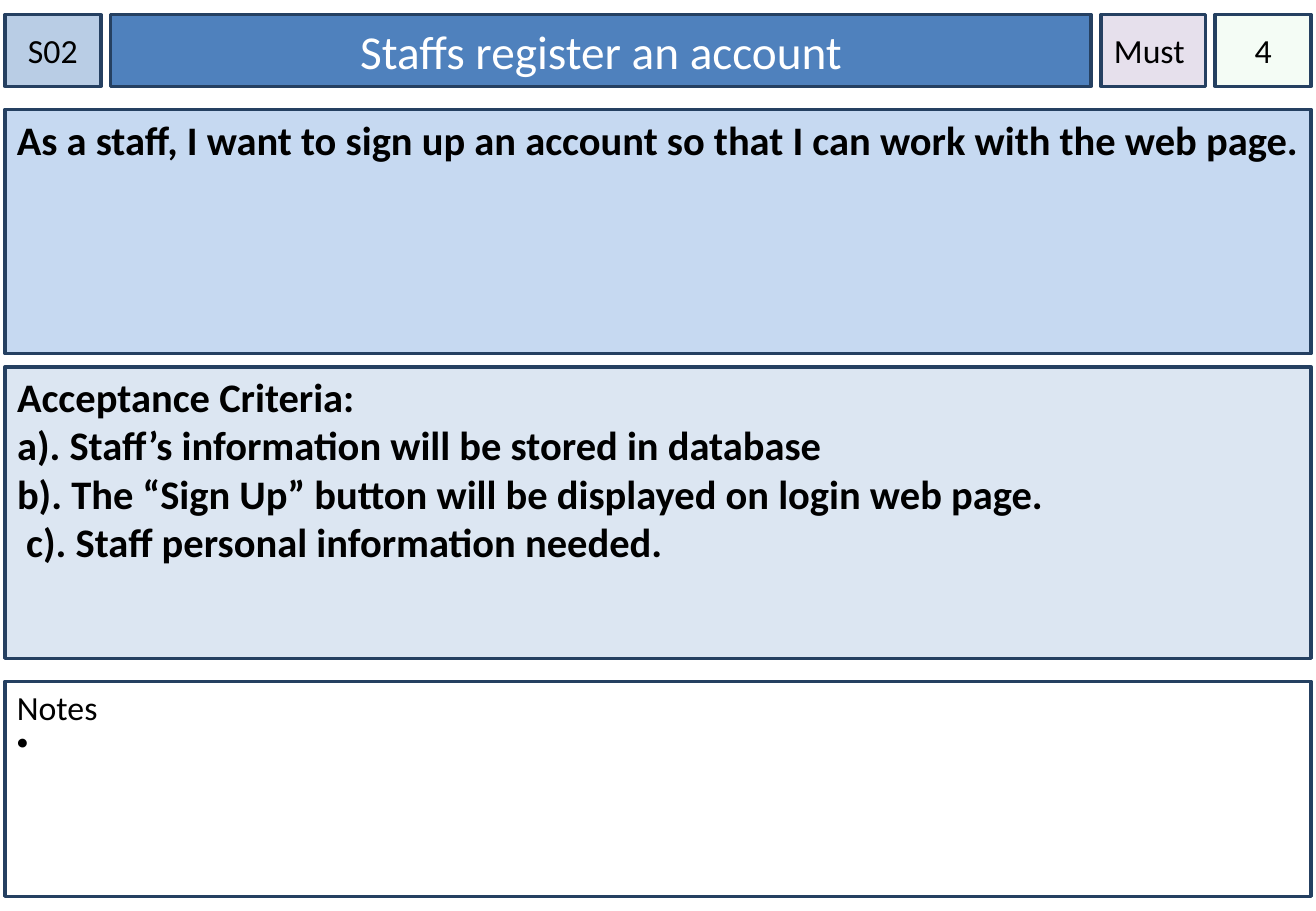
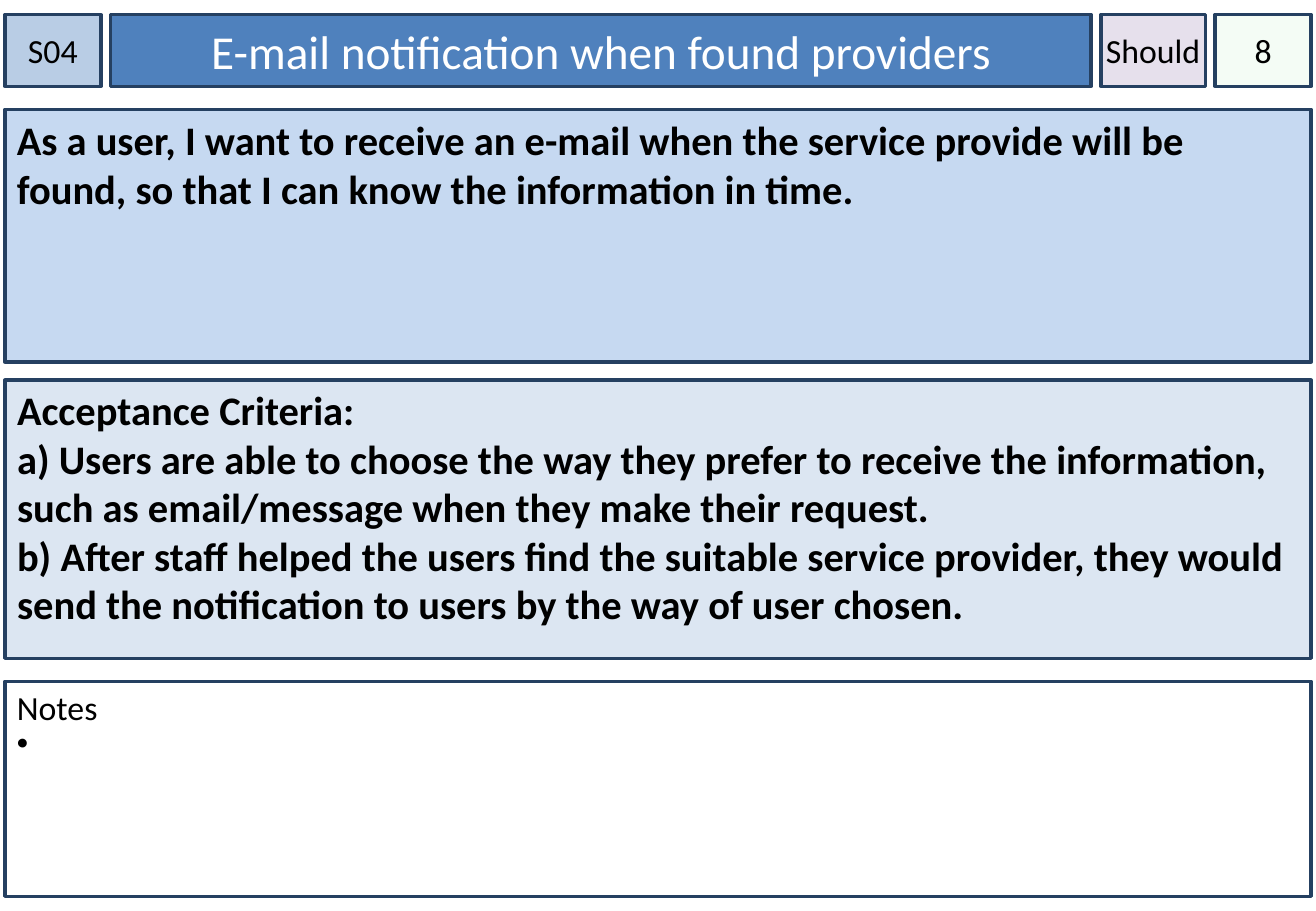
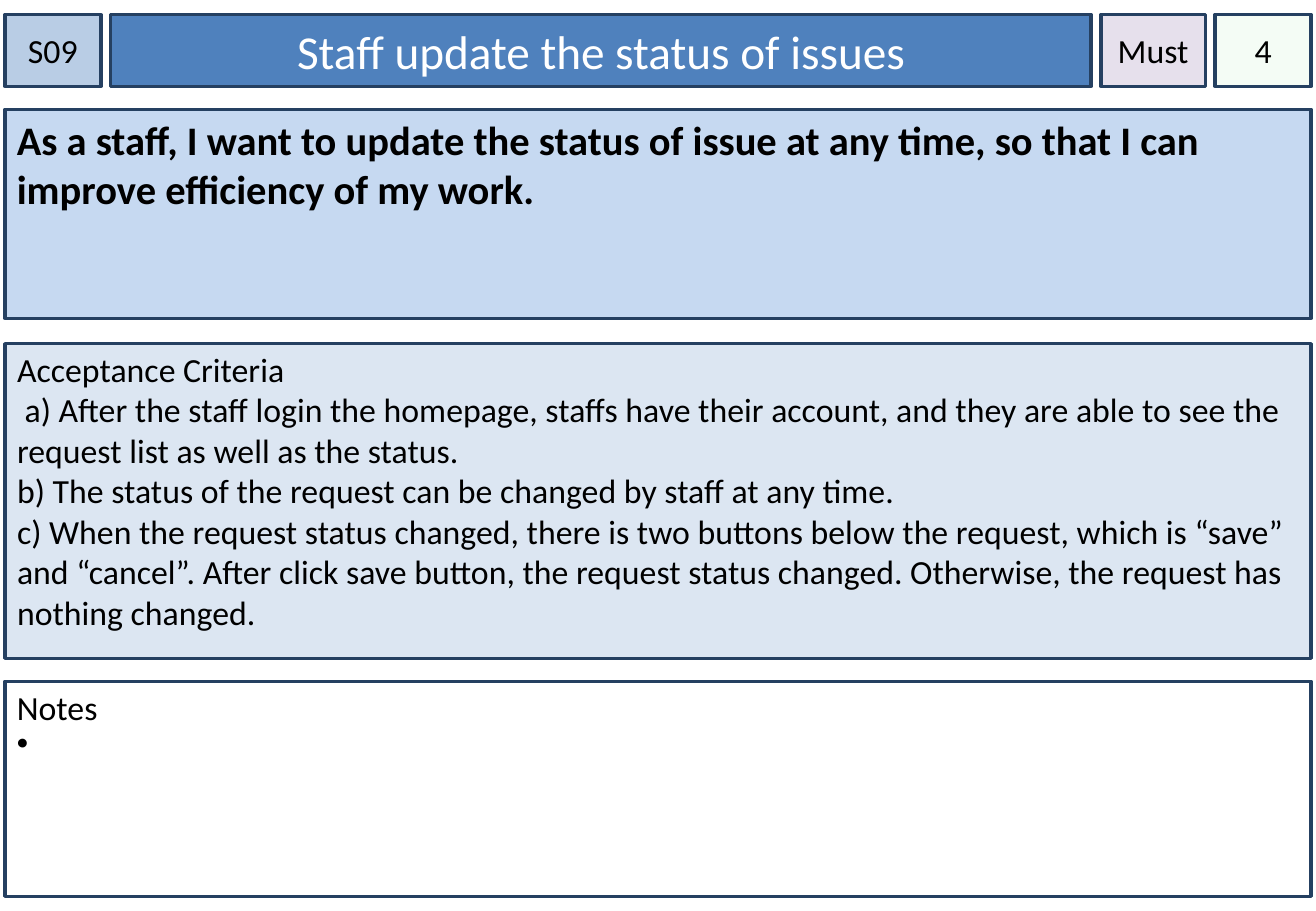
import dataclasses

import lxml.etree
import pptx
import pptx.dml.color
import pptx.enum.shapes
import pptx.enum.text
import pptx.oxml.ns
import pptx.util

Inches = pptx.util.Inches
ALIGN = pptx.enum.text.PP_ALIGN
ANCHOR = pptx.enum.text.MSO_ANCHOR


# Shared colours, type sizes and measures (inches)
@dataclasses.dataclass(frozen=True)
class Theme:
    font: str = "Calibri"
    text: str = "000000"
    title_text: str = "FFFFFF"
    outline: str = "254061"
    code_fill: str = "B9CDE5"
    title_fill: str = "4F81BD"
    priority_fill: str = "E6E0EC"
    points_fill: str = "CCF0CD"
    story_fill: str = "C6D9F1"
    criteria_fill: str = "DCE6F2"
    remarks_fill: str = "FFFFFF"
    title_size: int = 28
    story_size: int = 24
    label_size: int = 20
    outline_width: int = 2
    left: float = 0.04
    width: float = 10.75
    header_top: float = 0.12
    header_height: float = 0.59
    header_gap: float = 0.08
    header_widths: tuple = (0.79, 8.07, 0.86, 0.79)
    story_top: float = 0.9
    criteria_bottom: float = 5.42
    remarks_top: float = 5.61
    remarks_height: float = 1.77


THEME = Theme()
LABEL_INSETS = (0, 0.05, 0, 0.05)
PANEL_INSETS = (0.1, 0.04, 0.1, 0.05)


@dataclasses.dataclass(frozen=True)
class StoryCard:
    code: str
    title: str
    priority: str
    points: str
    story: str
    story_height: float
    criteria_top: float
    criteria: tuple
    criteria_size: int = THEME.story_size
    criteria_bold: bool = True


CARDS = (
    StoryCard(
        "S02", "Staffs register an account", "Must ", "4",
        "As a staff, I want to sign up an account so that I can work with the web page.",
        2.01, 3.02,
        ("Acceptance Criteria:",
         "a). Staff’s information will be stored in database",
         "b). The “Sign Up” button will be displayed on login web page.",
         " c). Staff personal information needed."),
    ),
    StoryCard(
        "S04", "E-mail notification when found providers", "Should", "8",
        "As a user, I want to receive an e-mail when the service provide will be found, "
        "so that I can know the information in time.",
        2.08, 3.13,
        ("Acceptance Criteria:",
         "a) Users are able to choose the way they prefer to receive the information, "
         "such as email/message when they make their request.",
         "b) After staff helped the users find the suitable service provider, they would "
         "send the notification to users by the way of user chosen."),
    ),
    StoryCard(
        "S09", "Staff update the status of issues", "Must", "4",
        "As a staff, I want to update the status of issue at any time, so that I can "
        "improve efficiency of my work.",
        1.72, 2.83,
        ("Acceptance Criteria",
         " a) After the staff login the homepage, staffs have their account, and they are "
         "able to see the request list as well as the status.",
         "b) The status of the request can be changed by staff at any time.",
         "c) When the request status changed, there is two buttons below the request, which "
         "is “save” and “cancel”. After click save button, the request status changed. "
         "Otherwise, the request has nothing changed."),
        criteria_size=THEME.label_size, criteria_bold=False,
    ),
)


def color(value):
    return pptx.dml.color.RGBColor.from_string(value)


def set_bullet(paragraph, character=None, indent=0.2):
    """Give the paragraph a hanging bullet, or none at all."""
    properties = paragraph._p.get_or_add_pPr()
    hanging = Inches(indent) if character else 0
    properties.set("marL", str(hanging))
    properties.set("indent", str(-hanging))
    tag = "a:buChar" if character else "a:buNone"
    bullet = lxml.etree.SubElement(properties, pptx.oxml.ns.qn(tag))
    if character:
        bullet.set("char", character)


def write_text(shape, *lines, size=THEME.label_size, text_color=THEME.text, bold=False,
               align=ALIGN.LEFT, anchor=ANCHOR.TOP, insets=(0.1, 0.05, 0.1, 0.05),
               wrap=True, bulleted=()):
    """Write one paragraph per line; bulleted holds the indexes of bullet lines."""
    frame = shape.text_frame
    frame.auto_size = pptx.enum.text.MSO_AUTO_SIZE.NONE
    frame.word_wrap = wrap
    frame.vertical_anchor = anchor
    (frame.margin_left, frame.margin_top,
     frame.margin_right, frame.margin_bottom) = map(Inches, insets)
    for index, line in enumerate(lines):
        paragraph = frame.paragraphs[0] if index == 0 else frame.add_paragraph()
        set_bullet(paragraph, "•" if index in bulleted else None)
        paragraph.alignment = align
        paragraph.space_before = pptx.util.Pt(0)
        run = paragraph.add_run()
        run.text = line
        run.font.name = THEME.font
        run.font.size = pptx.util.Pt(size)
        run.font.bold = bold
        run.font.color.rgb = color(text_color)


def style_box(shape, position, fill, opacity=None):
    shape.left, shape.top, shape.width, shape.height = map(Inches, position)
    shape.shadow.inherit = False
    shape.fill.solid()
    shape.fill.fore_color.rgb = color(fill)
    shape.line.color.rgb = color(THEME.outline)
    shape.line.width = pptx.util.Pt(THEME.outline_width)
    if opacity is not None:
        fill_color = shape._element.spPr.find(
            pptx.oxml.ns.qn("a:solidFill")).find(pptx.oxml.ns.qn("a:srgbClr"))
        alpha = lxml.etree.SubElement(fill_color, pptx.oxml.ns.qn("a:alpha"))
        alpha.set("val", str(opacity * 1000))


def add_box(slide, position, fill, opacity=None):
    shape = slide.shapes.add_shape(
        pptx.enum.shapes.MSO_SHAPE.RECTANGLE, *map(Inches, position))
    style_box(shape, position, fill, opacity)
    return shape


def add_label(slide, text, position, fill, opacity=None, wrap=True):
    write_text(add_box(slide, position, fill, opacity), text, align=ALIGN.CENTER,
               anchor=ANCHOR.MIDDLE, insets=LABEL_INSETS, wrap=wrap)


def header_positions():
    left = THEME.left
    for width in THEME.header_widths:
        yield left, THEME.header_top, width, THEME.header_height
        left += width + THEME.header_gap


def add_header(slide, card):
    code_at, title_at, priority_at, points_at = header_positions()
    add_label(slide, card.code, code_at, THEME.code_fill)
    title = slide.shapes.title
    style_box(title, title_at, THEME.title_fill)
    write_text(title, card.title, size=THEME.title_size, text_color=THEME.title_text,
               align=ALIGN.CENTER, anchor=ANCHOR.MIDDLE)
    add_label(slide, card.priority, priority_at, THEME.priority_fill, wrap=False)
    add_label(slide, card.points, points_at, THEME.points_fill, opacity=20)


def add_panels(slide, card):
    def panel(top, height):
        return THEME.left, top, THEME.width, height

    # User story
    story = add_box(slide, panel(THEME.story_top, card.story_height), THEME.story_fill)
    write_text(story, card.story, size=THEME.story_size, bold=True)

    # Acceptance criteria
    criteria = slide.placeholders[1]
    criteria_height = THEME.criteria_bottom - card.criteria_top
    style_box(criteria, panel(card.criteria_top, criteria_height), THEME.criteria_fill)
    write_text(criteria, *card.criteria, size=card.criteria_size,
               bold=card.criteria_bold, insets=PANEL_INSETS)

    # Remarks, with one bullet left open
    remarks = add_box(slide, panel(THEME.remarks_top, THEME.remarks_height),
                      THEME.remarks_fill)
    write_text(remarks, "Notes", " ", insets=PANEL_INSETS, bulleted=(1,))


def main():
    presentation = pptx.Presentation()
    presentation.slide_width = Inches(10.83)
    presentation.slide_height = Inches(7.5)
    title_and_content = presentation.slide_layouts[1]
    for card in CARDS:
        slide = presentation.slides.add_slide(title_and_content)
        add_header(slide, card)
        add_panels(slide, card)
    presentation.save("out.pptx")


if __name__ == "__main__":
    main()
